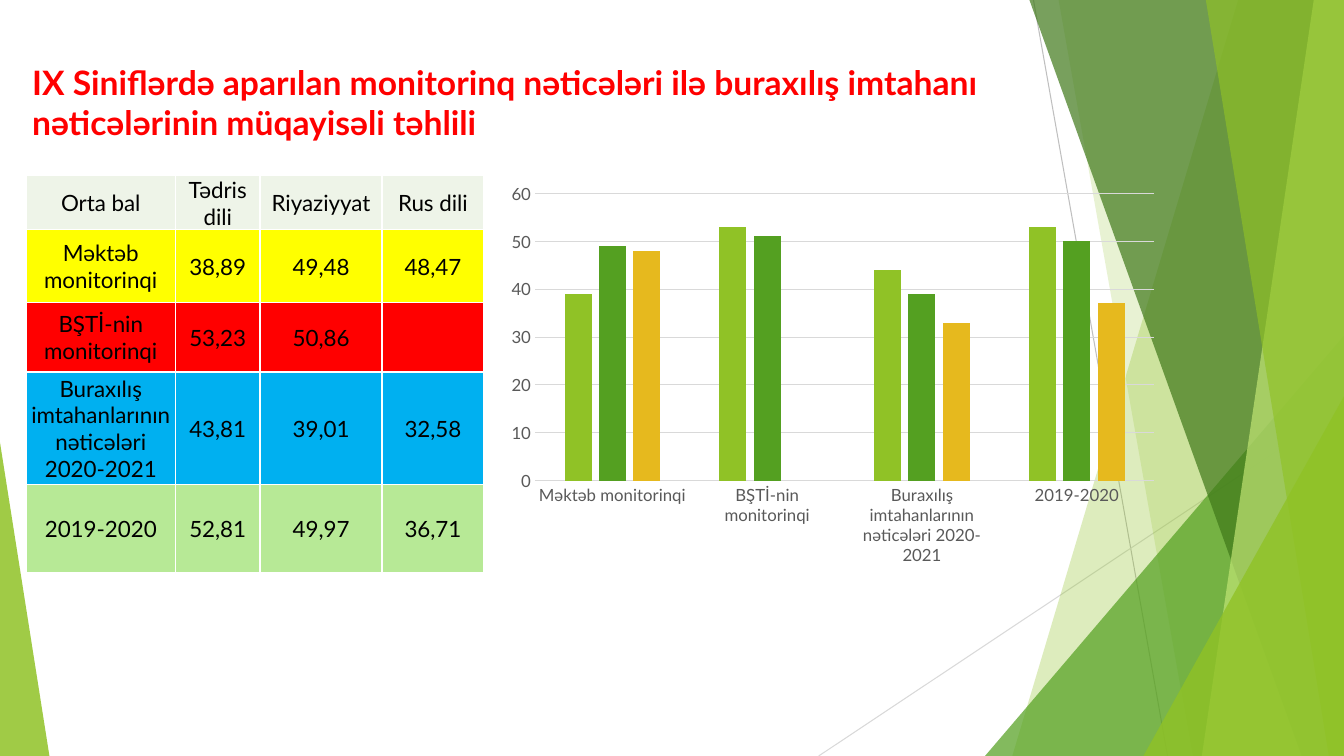
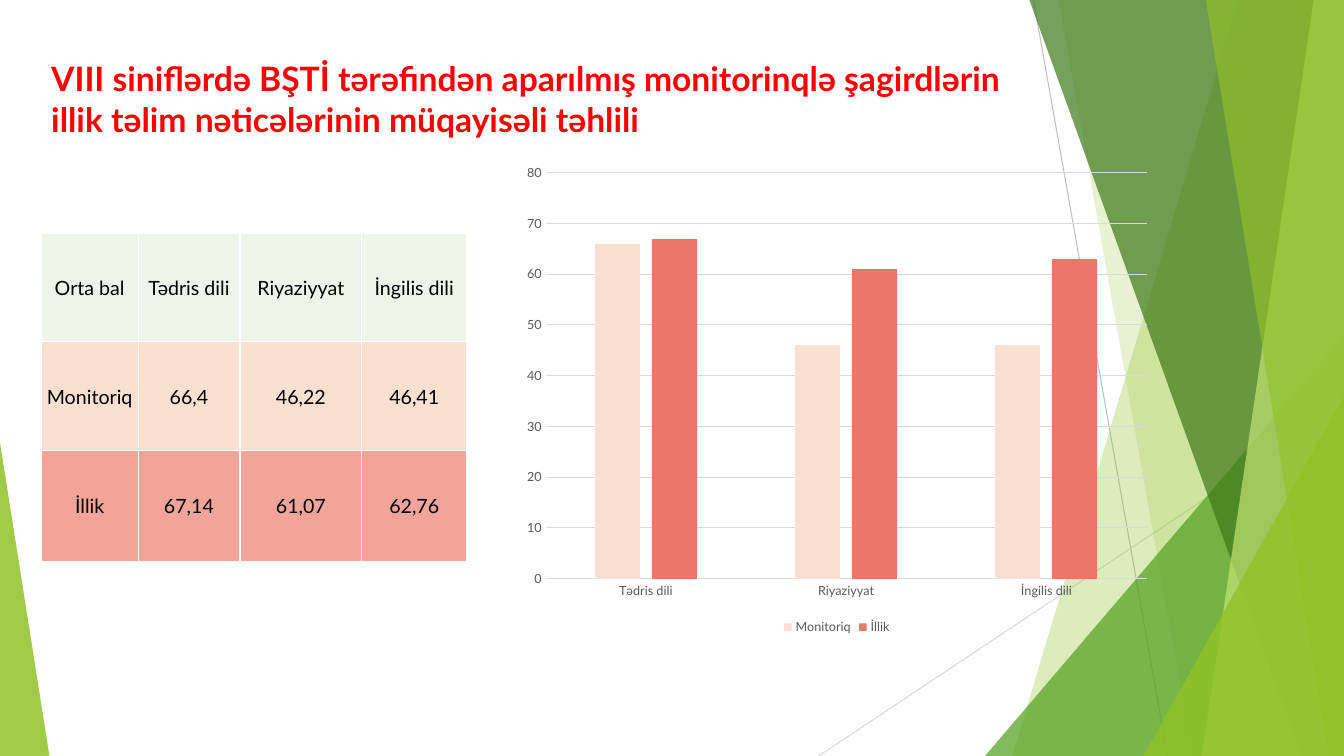
from lxml import etree
from pptx import Presentation
from pptx.chart.data import CategoryChartData
from pptx.dml.color import RGBColor
from pptx.enum.chart import XL_CHART_TYPE, XL_LEGEND_POSITION, XL_TICK_MARK
from pptx.enum.shapes import MSO_CONNECTOR, MSO_SHAPE
from pptx.enum.text import MSO_ANCHOR, PP_ALIGN
from pptx.oxml.ns import qn
from pptx.util import Inches, Pt

COLUMNS = XL_CHART_TYPE.COLUMN_CLUSTERED
LEGEND_BOTTOM = XL_LEGEND_POSITION.BOTTOM
NO_TICK = XL_TICK_MARK.NONE
STRAIGHT = MSO_CONNECTOR.STRAIGHT
PEAK = MSO_SHAPE.ISOSCELES_TRIANGLE
MIDDLE = MSO_ANCHOR.MIDDLE
CENTER = PP_ALIGN.CENTER

WIDTH, HEIGHT = 13.33, 7.5

THEME = {
    "font": "Lato",
    "title_size": 24,
    "title": "FF0000",
    "text": "000000",
    "axis_text": "595959",
    "grid": "D9D9D9",
    "ray": "BFBFBF",
    "border": "FFFFFF",
    "header": "EEF4E8",
    "lime": "90C226",
    "green": "54A021",
    "forest": "3F7819",
    "pale": "C0E474",
    "gold": "E6B91E",
    "yellow": "FFFF00",
    "red": "FF0000",
    "blue": "00B0F0",
    "mint": "B7E996",
    "peach": "FAE0D1",
    "salmon": "F2A499",
    "coral": "EB7766",
}

RAYS = [
    (10.25, 0, 11.58, HEIGHT, "ray"),
    (WIDTH, 4.03, 8.12, HEIGHT, "grid"),
]

FACETS = [
    ("band", (12.28, 10.04), "lime", 30),
    ("band", (10.5, 11.83), "lime", 20),
    ("peak", (9.77, 3.33, 3.56, 1), "green", 72),
    ("band", (10.21, 12.91), "forest", 70),
    ("band", (13.03, 11.92), "pale", 70),
    ("band", (11.96, 13.18), "lime", 65),
    ("peak", (11.34, 3.93, 1.99, 1), "lime", 80),
    ("peak", (0, 4.39, 0.49, 0), "lime", 85),
]

SLIDES = [
    {
        "title": "IX Siniflərdə aparılan monitorinq nəticələri ilə buraxılış imtahanı nəticələrinin müqayisəli təhlili",
        "title_at": (0.22, 0.56, 10.11, 0.91),
        "table_at": (0.26, 1.74),
        "table_size": 16,
        "columns": [1.48, 0.84, 1.21, 1.01],
        "heights": [0.52, 0.72, 0.69, 1.12, 0.87],
        "fills": ["header", "yellow", "red", "blue", "mint"],
        "rows": [
            ["Orta bal", "Tədris dili", "Riyaziyyat", "Rus dili"],
            ["Məktəb monitorinqi", "38,89", "49,48", "48,47"],
            ["BŞTİ-nin monitorinqi", "53,23", "50,86", ""],
            ["Buraxılış imtahanlarının nəticələri\n2020-2021", "43,81", "39,01", "32,58"],
            ["2019-2020", "52,81", "49,97", "36,71"],
        ],
        "chart_at": (4.94, 1.74, 6.64, 3.94),
        "axis_size": 12,
        "axis_max": 60,
        "series_colors": ["lime", "green", "gold"],
        "series_in_rows": False,
        "legend": False,
    },
    {
        "title": "VIII siniflərdə BŞTİ tərəfindən aparılmış monitorinqlə şagirdlərin illik təlim nəticələrinin müqayisəli təhlili",
        "title_at": (0.41, 0.53, 9.89, 0.91),
        "table_at": (0.41, 2.32),
        "table_size": 14,
        "columns": [0.96, 1.01, 1.21, 1.04],
        "heights": [1.07, 1.08, 1.1],
        "fills": ["header", "peach", "salmon"],
        "rows": [
            ["Orta bal", "Tədris dili", "Riyaziyyat", "İngilis dili"],
            ["Monitoriq", "66,4", "46,22", "46,41"],
            ["İllik", "67,14", "61,07", "62,76"],
        ],
        "chart_at": (5.1, 1.54, 6.4, 4.8),
        "axis_size": 9,
        "axis_max": 80,
        "series_colors": ["peach", "coral"],
        "series_in_rows": True,
        "legend": True,
    },
]


def color(name):
    return RGBColor.from_string(THEME[name])


def style_font(font, size, color_name, bold=False):
    font.name = THEME["font"]
    font.size = Pt(size)
    font.bold = bold
    font.color.rgb = color(color_name)


prs = Presentation()
prs.slide_width = Inches(WIDTH)
prs.slide_height = Inches(HEIGHT)

for content in SLIDES:
    slide = prs.slides.add_slide(prs.slide_layouts[6])
    shapes = slide.shapes

    for x1, y1, x2, y2, ray_color in RAYS:
        ray = shapes.add_connector(STRAIGHT, Inches(x1), Inches(y1), Inches(x2), Inches(y2))
        ray.line.color.rgb = color(ray_color)
        ray.line.width = Pt(0.75)
        etree.SubElement(ray.element.spPr, qn("a:effectLst"))

    for kind, geometry, facet_color, opacity in FACETS:
        if kind == "band":
            top_x, bottom_x = geometry
            outline = shapes.build_freeform(Inches(top_x), 0)
            outline.add_line_segments([
                (Inches(WIDTH), 0),
                (Inches(WIDTH), Inches(HEIGHT)),
                (Inches(bottom_x), Inches(HEIGHT)),
            ])
            facet = outline.convert_to_shape()
        else:
            left, top, width, apex = geometry
            facet = shapes.add_shape(PEAK, Inches(left), Inches(top), Inches(width), Inches(HEIGHT - top))
            facet.adjustments[0] = apex
        facet.shadow.inherit = False
        facet.line.fill.background()
        facet.fill.solid()
        facet.fill.fore_color.rgb = color(facet_color)
        tint = facet.element.spPr.find(qn("a:solidFill"))[0]
        etree.SubElement(tint, qn("a:alpha"), val=str(opacity * 1000))

    title = shapes.add_textbox(*[Inches(v) for v in content["title_at"]]).text_frame
    title.word_wrap = True
    title_run = title.paragraphs[0].add_run()
    title_run.text = content["title"]
    style_font(title_run.font, THEME["title_size"], "title", True)

    rows, columns, heights = content["rows"], content["columns"], content["heights"]
    left, top = content["table_at"]
    scores = shapes.add_table(
        len(rows), len(columns), Inches(left), Inches(top), Inches(sum(columns)), Inches(sum(heights))
    ).table
    scores.first_row = False
    scores.horz_banding = False
    for column, width in zip(scores.columns, columns):
        column.width = Inches(width)
    for r, (row, height, fill) in enumerate(zip(rows, heights, content["fills"])):
        scores.rows[r].height = Inches(height)
        for c, text in enumerate(row):
            cell = scores.cell(r, c)
            cell.margin_left = cell.margin_top = cell.margin_right = Pt(0.5)
            cell.margin_bottom = 0
            cell.vertical_anchor = MIDDLE
            cell_props = cell._tc.get_or_add_tcPr()
            for side in ("a:lnL", "a:lnR", "a:lnT", "a:lnB"):
                border = etree.SubElement(cell_props, qn(side), w=str(Pt(1)))
                border_fill = etree.SubElement(border, qn("a:solidFill"))
                etree.SubElement(border_fill, qn("a:srgbClr"), val=THEME["border"])
            cell.fill.solid()
            cell.fill.fore_color.rgb = color(fill)
            if not text:
                continue
            for i, line in enumerate(text.split("\n")):
                frame = cell.text_frame
                paragraph = frame.add_paragraph() if i else frame.paragraphs[0]
                paragraph.alignment = CENTER
                run = paragraph.add_run()
                run.text = line
                style_font(run.font, content["table_size"], "text")

    subjects = rows[0][1:]
    row_labels = [row[0].replace("\n", " ") for row in rows[1:]]
    values = [[round(float(v.replace(",", "."))) if v else None for v in row[1:]] for row in rows[1:]]
    chart_data = CategoryChartData()
    if content["series_in_rows"]:
        chart_data.categories = subjects
        series_list = zip(row_labels, values)
    else:
        chart_data.categories = row_labels
        series_list = [(f"Series {i}", column) for i, column in enumerate(zip(*values), 1)]
    for name, series_values in series_list:
        chart_data.add_series(name, series_values)

    chart = shapes.add_chart(COLUMNS, *[Inches(v) for v in content["chart_at"]], chart_data).chart
    axis_size = content["axis_size"]
    style_font(chart.font, axis_size, "axis_text")
    chart.has_title = False
    chart.has_legend = content["legend"]
    if chart.has_legend:
        chart.legend.position = LEGEND_BOTTOM
        chart.legend.include_in_layout = False
        style_font(chart.legend.font, axis_size, "axis_text")

    plot = chart.plots[0]
    plot.vary_by_categories = False
    plot.gap_width = 219
    plot.overlap = -27
    for series, series_color in zip(plot.series, content["series_colors"]):
        series.format.fill.solid()
        series.format.fill.fore_color.rgb = color(series_color)

    category_axis, value_axis = chart.category_axis, chart.value_axis
    for axis in (category_axis, value_axis):
        axis.major_tick_mark = axis.minor_tick_mark = NO_TICK
        style_font(axis.tick_labels.font, axis_size, "axis_text")
    value_axis.minimum_scale = 0
    value_axis.maximum_scale = content["axis_max"]
    value_axis.major_unit = 10
    value_axis.format.line.fill.background()
    value_axis.has_major_gridlines = True
    for rule in (category_axis.format.line, value_axis.major_gridlines.format.line):
        rule.color.rgb = color("grid")
        rule.width = Pt(0.75)

prs.save("out.pptx")
